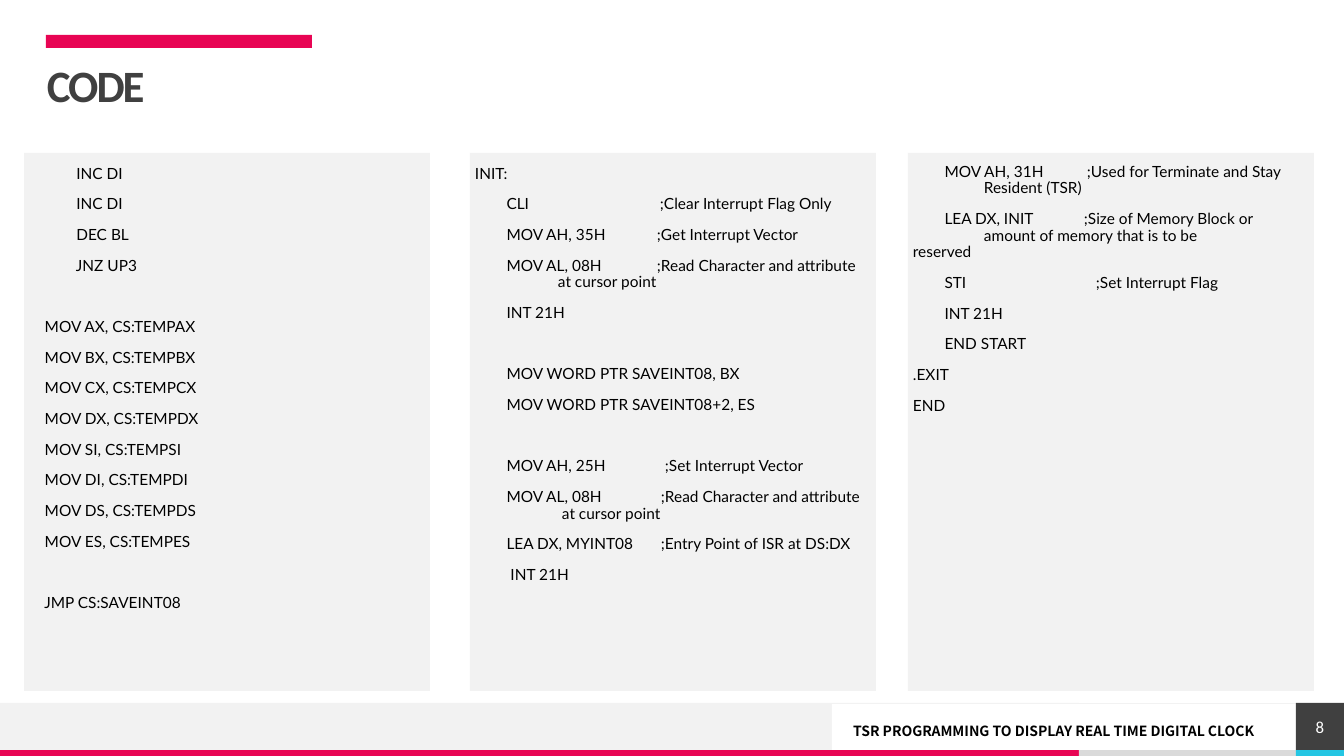
from lxml.etree import SubElement
from pptx import Presentation
from pptx.dml.color import RGBColor
from pptx.enum.shapes import MSO_CONNECTOR, MSO_SHAPE
from pptx.enum.text import MSO_ANCHOR as ANCHOR, PP_ALIGN as ALIGN
from pptx.oxml.ns import qn
from pptx.util import Emu, Pt

PINK = RGBColor(0xE8, 0x05, 0x54)
CYAN = RGBColor(0x25, 0xC6, 0xE3)
DARK = RGBColor(0x40, 0x40, 0x40)
SILVER = RGBColor(0xDA, 0xDA, 0xDA)
PALE = RGBColor(0xF2, 0xF2, 0xF2)
WHITE = RGBColor(0xFF, 0xFF, 0xFF)
BLACK = RGBColor(0, 0, 0)

WIDTH, HEIGHT = 1344, 756
EMU_PER_PX = 914400 / 100.8
GAP = None

# A code line is plain text, or text followed by its tab stops in px.
RESTORE = [
    "            INC DI",
    "            INC DI",
    "            DEC BL",
    "            JNZ UP3",
    GAP,
    *(f"    MOV {reg}, CS:TEMP{reg}"
      for reg in ("AX", "BX", "CX", "DX", "SI", "DI", "DS", "ES")),
    GAP,
    "    JMP CS:SAVEINT08",
]
INIT = [
    "INIT:",
    ("        CLI\t;Clear Interrupt Flag Only", 185),
    ("        MOV AH, 35H\t;Get Interrupt Vector", 182),
    ("        MOV AL, 08H\t;Read Character and attribute\v\tat cursor point", 83, 182),
    "        INT 21H",
    GAP,
    "        MOV WORD PTR SAVEINT08, BX",
    "        MOV WORD PTR SAVEINT08+2, ES",
    GAP,
    ("        MOV AH, 25H\t;Set Interrupt Vector", 190),
    ("        MOV AL, 08H\t;Read Character and attribute\v\tat cursor point", 87, 186),
    ("        LEA DX, MYINT08\t;Entry Point of ISR at DS:DX", 186),
    "         INT 21H",
]
FINISH = [
    ("        MOV AH, 31H\t;Used for Terminate and Stay\v\tResident (TSR)", 71, 174),
    ("        LEA DX, INIT\t;Size of Memory Block or"
     "\v\tamount of memory that is to be\vreserved", 71, 171),
    ("        STI\t;Set Interrupt Flag", 183),
    "        INT 21H",
    "        END START",
    ".EXIT",
    "END",
]


def px(n):
    return Emu(round(n * EMU_PER_PX))


class CodeSlide:
    def __init__(self, prs):
        self.slide = prs.slides.add_slide(prs.slide_layouts[6])
        self.shapes = self.slide.shapes

    def rect(self, x, y, w, h, fill):
        sp = self.shapes.add_shape(MSO_SHAPE.RECTANGLE, px(x), px(y), px(w), px(h))
        sp.shadow.inherit = False
        sp.fill.solid()
        sp.fill.fore_color.rgb = fill
        sp.line.fill.background()
        return sp

    def rule(self, x1, y1, x2, y2, color):
        line = self.shapes.add_connector(
            MSO_CONNECTOR.STRAIGHT, px(x1), px(y1), px(x2), px(y2))
        line.line.color.rgb = color
        line.line.width = Pt(0.5)
        SubElement(line._element.spPr, qn("a:effectLst"))

    def frame(self, sp, anchor=ANCHOR.MIDDLE, insets=(0, 0, 0, 0)):
        tf = sp.text_frame
        tf.word_wrap = True
        tf.vertical_anchor = anchor
        tf.margin_left, tf.margin_top, tf.margin_right, tf.margin_bottom = map(px, insets)
        return tf

    def box(self, x, y, w, h, **kw):
        return self.frame(self.shapes.add_textbox(px(x), px(y), px(w), px(h)), **kw)

    def style_text(self, p, text, size, font, color, bold=False, align=ALIGN.LEFT, spacing=None):
        p.text = text
        p.alignment = align
        p.line_spacing = spacing
        for r in p.runs:
            r.font.size, r.font.name, r.font.bold = Pt(size), font, bold
            r.font.color.rgb = color
        for br in p._p.findall(qn("a:br")):
            SubElement(br, qn("a:rPr"), sz=str(size * 100))
        return p

    def code(self, x, y, lines):
        tf = self.box(x, y, 397, 516, anchor=ANCHOR.TOP)
        p, before = tf.paragraphs[0], 0
        for line in lines:
            if line is GAP:
                before = 32
                continue
            text, *stops = [line] if isinstance(line, str) else line
            if before:
                p = tf.add_paragraph()
            if stops:
                tabs = SubElement(p._p.get_or_add_pPr(), qn("a:tabLst"))
                for stop in stops:
                    SubElement(tabs, qn("a:tab"), pos=str(px(stop)), algn="l")
            self.style_text(p, text, 11, "Lato", BLACK, spacing=0.9)
            p.space_before = Pt(before)
            before = 10


def main():
    prs = Presentation()
    prs.slide_width, prs.slide_height = px(WIDTH), px(HEIGHT)
    s = CodeSlide(prs)

    # Footer
    s.rect(0, 703, 1079, 47, PALE)
    s.rect(832, 703, 464, 47, WHITE)
    for left, right, color in ((0, 1079, PINK), (1079, 1296, SILVER), (1296, WIDTH, CYAN)):
        s.rect(left, 750, right - left, 6, color)
    footer = s.box(806, 713, 495, 26, insets=(10, 12, 10, 0))
    s.style_text(footer.paragraphs[0], "TSR PROGRAMMING TO DISPLAY REAL TIME DIGITAL CLOCK",
                 10, "Noto Sans CJK KR", BLACK, True, ALIGN.CENTER, Pt(10))
    s.rule(WIDTH, 703, 0, 703, PALE)
    number = s.frame(s.rect(1296, 703, 48, 47, DARK))
    s.style_text(number.paragraphs[0], "8", 12, "Calibri", WHITE, align=ALIGN.CENTER)

    # Heading
    s.rect(46, 35, 266, 13, PINK)
    title = s.box(47, 65, 1250, 47)
    p = s.style_text(title.paragraphs[0], "CODE", 32, "Calibri", DARK, True, spacing=0.9)
    p.runs[0].font._element.set("spc", "-150")

    # Code columns
    for x, y, lines in ((24, 166, RESTORE), (470, 166, INIT), (908, 164, FINISH)):
        s.rect(x, 153, 406, 538, PALE)
        s.code(x + 5, y, lines)

    prs.save("out.pptx")


if __name__ == "__main__":
    main()
